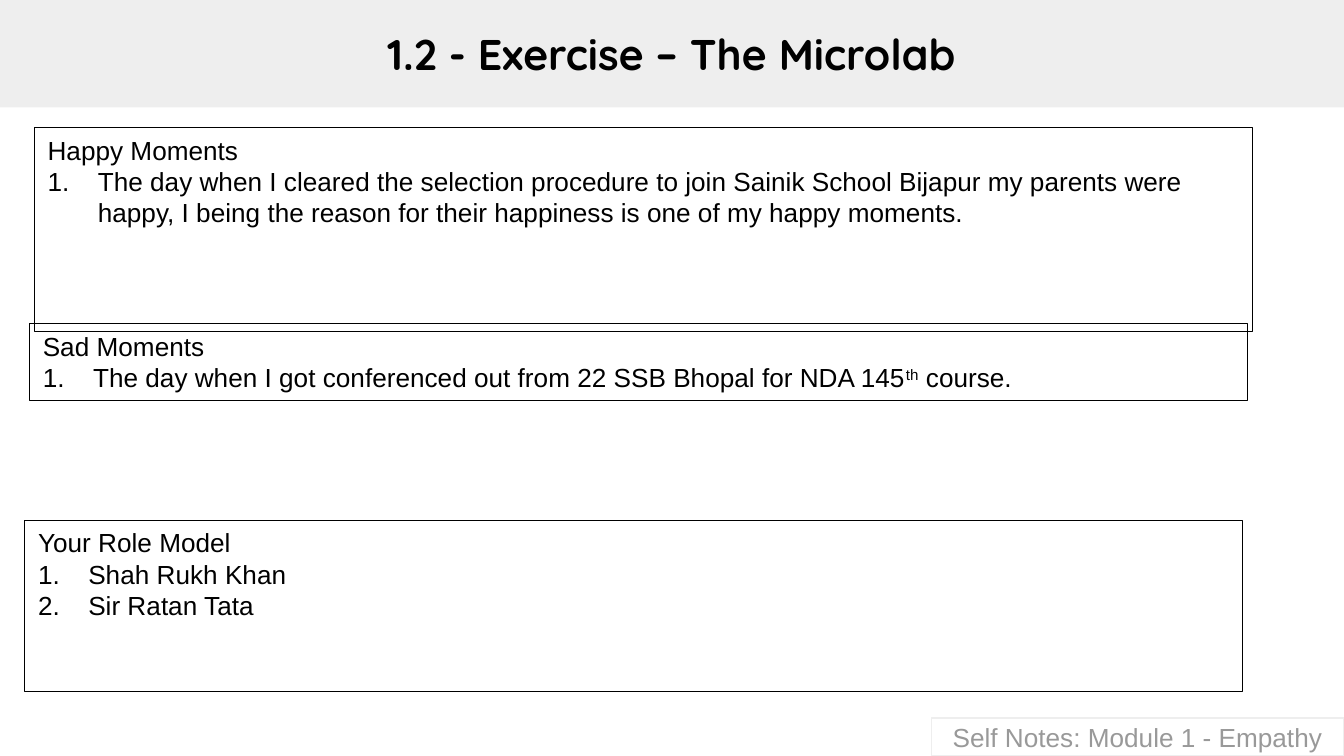
"""Build the Microlab exercise slide with three framed lists of notes."""
from dataclasses import dataclass

from lxml.etree import SubElement
from pptx import Presentation
from pptx.dml.color import RGBColor
from pptx.enum.shapes import MSO_SHAPE
from pptx.enum.text import MSO_ANCHOR, MSO_AUTO_SIZE, PP_ALIGN
from pptx.oxml.ns import qn
from pptx.util import Cm, Pt

BLACK = RGBColor(0x00, 0x00, 0x00)
PALE_GREY = RGBColor(0xEE, 0xEE, 0xEE)
MID_GREY = RGBColor(0x99, 0x99, 0x99)
NUMBER_INDENT = Cm(0.95)


@dataclass(frozen=True)
class Span:
    text: str
    superscript: bool = False


@dataclass(frozen=True)
class Section:
    heading: str
    items: tuple[tuple[Span, ...], ...]
    height: float


SECTIONS = (
    Section("Happy Moments", (
        (Span("The day when I cleared the selection procedure to join Sainik School Bijapur "
              "my parents were happy, I being the reason for their happiness is one of my "
              "happy moments."),),
    ), 3.85),
    Section("Sad Moments", (
        (Span("The day when I got conferenced out from 22 SSB Bhopal for NDA 145"),
         Span("th", superscript=True), Span(" course.")),
    ), 1.46),
    Section("Your Role Model", (
        (Span("Shah Rukh Khan"),),
        (Span("Sir Ratan Tata"),),
    ), 3.25),
)


def place(shape, left: float, top: float, width: float, height: float) -> None:
    shape.left, shape.top = Cm(left), Cm(top)
    shape.width, shape.height = Cm(width), Cm(height)


def style(paragraph, font_name: str, size: float, color: RGBColor, alignment=PP_ALIGN.LEFT) -> None:
    paragraph.alignment = alignment
    paragraph.font.name = font_name
    paragraph.font.size = Pt(size)
    paragraph.font.color.rgb = color


def add_frame(page, left: float, top: float, width: float, height: float,
              color: RGBColor, line_width: float, anchor):
    box = page.shapes.add_shape(MSO_SHAPE.RECTANGLE, Cm(left), Cm(top), Cm(width), Cm(height))
    box.shadow.inherit = False
    box.fill.background()
    box.line.color.rgb = color
    box.line.width = Pt(line_width)
    box.text_frame.word_wrap = True
    box.text_frame.vertical_anchor = anchor
    return box


def number(paragraph) -> None:
    properties = paragraph._p.get_or_add_pPr()
    properties.set("marL", str(NUMBER_INDENT))
    properties.set("indent", str(-NUMBER_INDENT))
    bullet = SubElement(properties, qn("a:buAutoNum"), type="arabicPeriod")
    properties.remove(bullet)
    properties.insert(0, bullet)


def add_section(page, section: Section, left: float, top: float) -> None:
    box = add_frame(page, left, top, 23.02, section.height, BLACK, 0.5, MSO_ANCHOR.TOP)
    heading = box.text_frame.paragraphs[0]
    heading.text = section.heading
    style(heading, "Arial", 14, BLACK)
    for item in section.items:
        para = box.text_frame.add_paragraph()
        number(para)
        style(para, "Arial", 14, BLACK)
        for span in item:
            run = para.add_run()
            run.text = span.text
            if span.superscript:
                run._r.get_or_add_rPr().set("baseline", "30000")


def add_title(page, text: str) -> None:
    title = page.shapes.title
    place(title, 0, 0, 25.4, 2.03)
    title.fill.solid()
    title.fill.fore_color.rgb = PALE_GREY
    frame = title.text_frame
    frame.text = text
    frame.auto_size = MSO_AUTO_SIZE.NONE
    frame.vertical_anchor = MSO_ANCHOR.MIDDLE
    style(frame.paragraphs[0], "Quicksand", 23, BLACK, PP_ALIGN.CENTER)
    frame.paragraphs[0].font.bold = True


def add_module_label(page, text: str) -> None:
    box = add_frame(page, 17.6, 13.57, 7.8, 0.72, PALE_GREY, 0.75, MSO_ANCHOR.MIDDLE)
    box.text_frame.text = text
    style(box.text_frame.paragraphs[0], "Arial", 14, MID_GREY, PP_ALIGN.CENTER)


def main() -> None:
    deck = Presentation()
    deck.slide_width, deck.slide_height = Cm(25.4), Cm(14.29)
    page = deck.slides.add_slide(deck.slide_layouts.get_by_name("Title Only"))
    add_title(page, "1.2 - Exercise – The Microlab")
    add_module_label(page, "Self Notes: Module 1 - Empathy")
    for index, section in enumerate(SECTIONS):
        add_section(page, section, 0.65 - 0.09 * index, 2.41 + 3.71 * index)
    deck.save("out.pptx")


if __name__ == "__main__":
    main()
